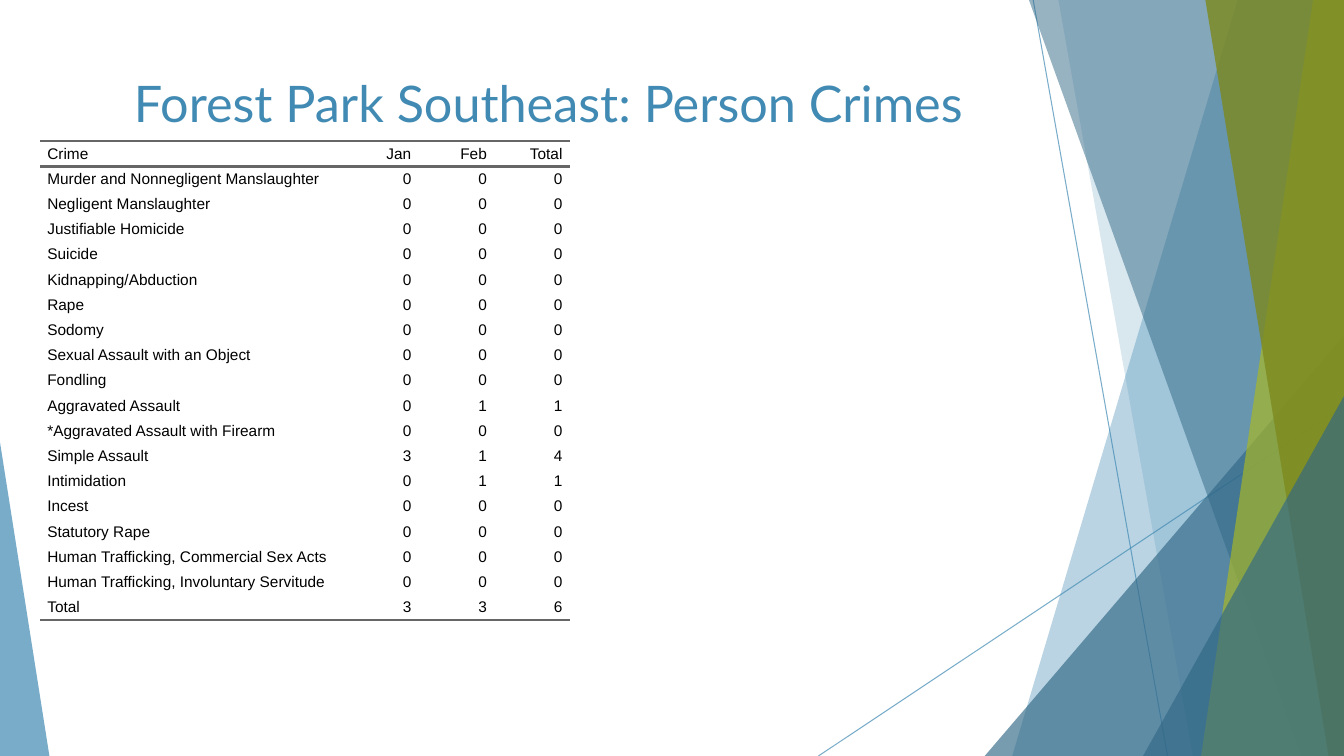
from dataclasses import dataclass
from lxml import etree
from pptx import Presentation
from pptx import util as u
from pptx.dml.color import RGBColor
from pptx.enum import shapes, text
from pptx.oxml import ns

BLUE = RGBColor(0x41, 0x8A, 0xB3)
NAVY = RGBColor(0x31, 0x68, 0x86)
LIME = RGBColor(0xA6, 0xB7, 0x27)
OLIVE = RGBColor(0x7D, 0x89, 0x1D)
GREY = RGBColor(0x66, 0x66, 0x66)
BLACK = RGBColor(0, 0, 0)
WIDE, HIGH = 960, 540
ROW = 18
COLS = (216, 54, 54, 54)
NO_STYLE = "{2D5ABB26-0587-4C30-8999-92F81FD0307C}"


@dataclass
class Ray:
    start: tuple[float, float]
    end: tuple[float, float]


@dataclass
class Pane:
    top: float
    base: float
    color: RGBColor
    alpha: int


@dataclass
class Peak:
    left: float
    top: float
    width: float
    tip: int
    color: RGBColor
    alpha: int


RAYS = (Ray((738, 0), (834, HIGH)), Ray((WIDE, 290), (584.6, HIGH)))
FACETS = (
    Pane(884, 723, BLUE, 36),
    Pane(756, 852, BLUE, 20),
    Peak(703.4, 240, 256.6, 1, NAVY, 66),
    Pane(735, 929.5, NAVY, 50),
    Pane(938, 858, LIME, 70),
    Pane(861, 949, OLIVE, 80),
    Peak(816.5, 283, 143.5, 1, NAVY, 66),
    Peak(0, 316, 35.3, 0, BLUE, 70),
)
CRIMES = (
    "Murder and Nonnegligent Manslaughter",
    "Negligent Manslaughter",
    "Justifiable Homicide",
    "Suicide",
    "Kidnapping/Abduction",
    "Rape",
    "Sodomy",
    "Sexual Assault with an Object",
    "Fondling",
    "Aggravated Assault",
    "*Aggravated Assault with Firearm",
    "Simple Assault",
    "Intimidation",
    "Incest",
    "Statutory Rape",
    "Human Trafficking, Commercial Sex Acts",
    "Human Trafficking, Involuntary Servitude",
)
COUNTS = {
    "Aggravated Assault": (0, 1),
    "Simple Assault": (3, 1),
    "Intimidation": (0, 1),
}


def fade(item, alpha: int) -> None:
    tint = next(item.element.spPr.iter(ns.qn("a:srgbClr")))
    etree.SubElement(tint, ns.qn("a:alpha"), val=str(alpha * 1000))


def draw_ray(slide, ray: Ray) -> None:
    ends = [u.Pt(v) for v in ray.start + ray.end]
    line = slide.shapes.add_connector(shapes.MSO_CONNECTOR.STRAIGHT, *ends)
    line.line.color.rgb = BLUE
    line.line.width = u.Pt(0.75)
    fade(line, 70)
    etree.SubElement(line.element.spPr, ns.qn("a:effectLst"))


def draw_facet(slide, facet: Pane | Peak) -> None:
    if isinstance(facet, Pane):
        path = slide.shapes.build_freeform(u.Pt(facet.top), 0)
        rest = ((WIDE, 0), (WIDE, HIGH), (facet.base, HIGH))
        path.add_line_segments([(u.Pt(x), u.Pt(y)) for x, y in rest])
        shape = path.convert_to_shape()
    else:
        shape = slide.shapes.add_shape(
            shapes.MSO_SHAPE.ISOSCELES_TRIANGLE, u.Pt(facet.left),
            u.Pt(facet.top), u.Pt(facet.width), u.Pt(HIGH - facet.top))
        shape.adjustments[0] = facet.tip
    shape.shadow.inherit = False
    shape.fill.solid()
    shape.fill.fore_color.rgb = facet.color
    shape.line.fill.background()
    fade(shape, facet.alpha)


def rule(cell, sides: str) -> None:
    props = cell._tc.get_or_add_tcPr()
    for spot, side in enumerate(sides):
        edge = etree.Element(ns.qn(f"a:ln{side}"), w=str(u.Pt(2)))
        fill = etree.SubElement(edge, ns.qn("a:solidFill"))
        etree.SubElement(fill, ns.qn("a:srgbClr"), val=str(GREY))
        props.insert(spot, edge)


def fill_cell(cell, value: str, right: bool) -> None:
    cell.margin_left = cell.margin_right = 0
    cell.margin_top = cell.margin_bottom = 0
    cell.vertical_anchor = text.MSO_ANCHOR.MIDDLE
    cell.fill.background()
    para = cell.text_frame.paragraphs[0]
    para.text = value
    para.alignment = text.PP_ALIGN.RIGHT if right else text.PP_ALIGN.LEFT
    para.space_before = para.space_after = u.Pt(5)
    props = para._p.get_or_add_pPr()
    for side in ("marL", "marR"):
        props.set(side, str(u.Pt(5)))
    font = para.runs[0].font
    font.name, font.size = "Arial", u.Pt(11)
    font.color.rgb = BLACK


def draw_table(slide) -> None:
    pairs = [COUNTS.get(crime, (0, 0)) for crime in CRIMES]
    sums = tuple(map(sum, zip(*pairs)))
    rows = [("Crime", "Jan", "Feb", "Total")]
    for name, pair in zip(CRIMES + ("Total",), pairs + [sums]):
        rows.append((name, *pair, sum(pair)))
    frame = slide.shapes.add_table(
        len(rows), len(COLS), u.Pt(28.8), u.Pt(100.8),
        u.Pt(sum(COLS)), u.Pt(ROW * len(rows)))
    table = frame.table
    table.first_row = table.horz_banding = False
    next(frame.element.iter(ns.qn("a:tableStyleId"))).text = NO_STYLE
    for col, width in zip(table.columns, COLS):
        col.width = u.Pt(width)
    edges = {0: "TB", len(rows) - 1: "B"}
    for r, row in enumerate(rows):
        table.rows[r].height = u.Pt(ROW)
        for c, value in enumerate(row):
            cell = table.cell(r, c)
            fill_cell(cell, str(value), c > 0)
            rule(cell, edges.get(r, ""))


def set_title(slide) -> None:
    title = slide.shapes.title
    title.left, title.top = u.Pt(53.3), u.Pt(48)
    title.width, title.height = u.Pt(677), u.Pt(104)
    frame = title.text_frame
    frame.text = "Forest Park Southeast: Person Crimes"
    frame.word_wrap = True
    frame.vertical_anchor = text.MSO_ANCHOR.TOP
    para = frame.paragraphs[0]
    para.alignment = text.PP_ALIGN.CENTER
    font = para.runs[0].font
    font.name, font.size = "Lato", u.Pt(36)
    font.color.rgb = BLUE
    title.element.getparent().append(title.element)


deck = Presentation()
deck.slide_width, deck.slide_height = u.Pt(WIDE), u.Pt(HIGH)
slide = deck.slides.add_slide(deck.slide_layouts[5])
for ray in RAYS:
    draw_ray(slide, ray)
for facet in FACETS:
    draw_facet(slide, facet)
draw_table(slide)
set_title(slide)
deck.save("out.pptx")
